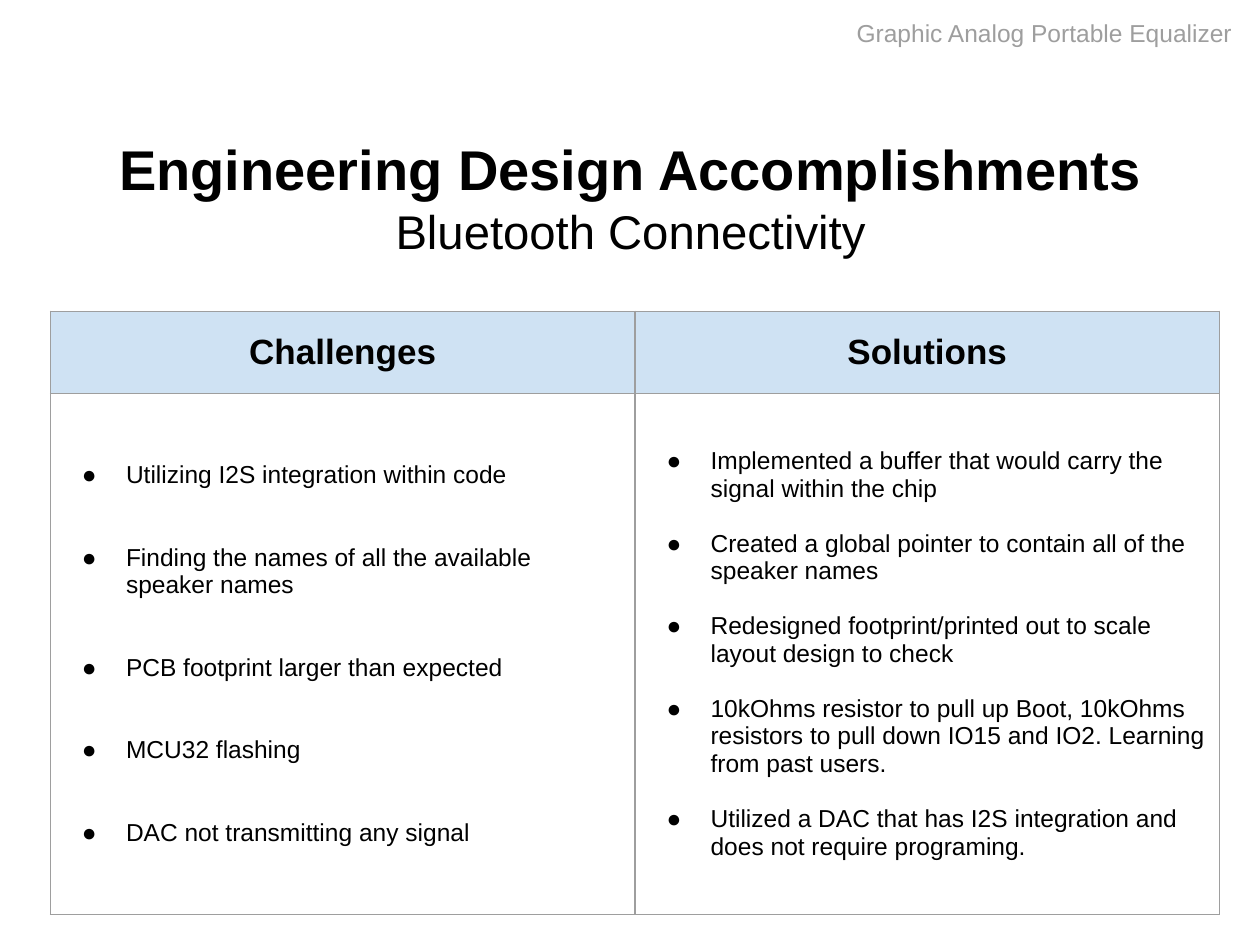
from lxml import etree
from pptx import Presentation
from pptx.dml.color import RGBColor
from pptx.enum.text import MSO_ANCHOR, MSO_AUTO_SIZE, PP_ALIGN
from pptx.oxml.ns import qn
from pptx.util import Inches, Pt

CENTER = PP_ALIGN.CENTER
MIDDLE = MSO_ANCHOR.MIDDLE
NO_AUTOFIT = MSO_AUTO_SIZE.NONE
BLACK, GRAY, HEADER_BLUE = "000000", "9E9E9E", "CFE2F3"
LINE_HEIGHT = 15.7

PROJECT = "Graphic Analog Portable Equalizer"
TITLE_LINES = [
    ("Engineering Design Accomplishments", 32, True),
    ("Bluetooth Connectivity", 27, False),
]
COLUMNS = [
    ("Challenges", 2 * LINE_HEIGHT, [
        "Utilizing I2S integration within code",
        "Finding the names of all the available speaker names",
        "PCB footprint larger than expected",
        "MCU32 flashing",
        "DAC not transmitting any signal",
    ]),
    ("Solutions", LINE_HEIGHT, [
        "Implemented a buffer that would carry the signal within the chip",
        "Created a global pointer to contain all of the speaker names",
        "Redesigned footprint/printed out to scale layout design to check",
        "10kOhms resistor to pull up Boot, 10kOhms resistors to pull down "
        "IO15 and IO2. Learning from past users.",
        "Utilized a DAC that has I2S integration and does not require programing.",
    ]),
]
COLUMN_WIDTH = 4.64
ROW_HEIGHTS = [0.65, 4.14]


def rgb(color):
    return RGBColor.from_string(color)


def add_run(paragraph, text, size, color=BLACK, bold=False):
    run = paragraph.add_run()
    run.text = text
    run.font.name = "Arial"
    run.font.size = Pt(size)
    run.font.bold = bold
    run.font.color.rgb = rgb(color)


def next_paragraph(frame, index):
    return frame.add_paragraph() if index else frame.paragraphs[0]


def set_margins(target, horizontal, vertical):
    target.margin_left = target.margin_right = Inches(horizontal)
    target.margin_top = target.margin_bottom = Inches(vertical)


def place(shape, left, top, width, height):
    shape.left, shape.top = Inches(left), Inches(top)
    shape.width, shape.height = Inches(width), Inches(height)


def add_bullet(paragraph):
    properties = paragraph._p.get_or_add_pPr()
    properties.set("marL", str(Inches(0.5)))
    properties.set("indent", str(Inches(-0.35)))
    bullet_color = etree.SubElement(properties, qn("a:buClr"))
    etree.SubElement(bullet_color, qn("a:srgbClr"), val=BLACK)
    etree.SubElement(properties, qn("a:buFont"), typeface="Arial")
    etree.SubElement(properties, qn("a:buChar"), char="●")


def format_cell(cell):
    set_margins(cell, 0.1, 0.1)
    cell.vertical_anchor = MIDDLE
    properties = cell._tc.get_or_add_tcPr()
    for side in ("lnL", "lnR", "lnT", "lnB"):
        border = etree.SubElement(properties, qn("a:" + side), w=str(Pt(0.75)))
        fill = etree.SubElement(border, qn("a:solidFill"))
        etree.SubElement(fill, qn("a:srgbClr"), val=GRAY)


def add_title(slide):
    title = slide.shapes.title
    place(title, 0.18, 1.12, 9.65, 0.88)
    frame = title.text_frame
    frame.auto_size = NO_AUTOFIT
    frame.word_wrap = True
    frame.vertical_anchor = MIDDLE
    set_margins(frame, 0.1, 0.05)
    for index, (text, size, bold) in enumerate(TITLE_LINES):
        paragraph = next_paragraph(frame, index)
        paragraph.alignment = CENTER
        add_run(paragraph, text, size, bold=bold)


def add_project_label(slide):
    label = slide.shapes.add_textbox(
        Inches(6.7), Inches(0.04), Inches(3.21), Inches(0.44))
    frame = label.text_frame
    frame.word_wrap = True
    set_margins(frame, 0.1, 0.1)
    add_run(frame.paragraphs[0], PROJECT, 14, GRAY)


def add_comparison(slide):
    table = slide.shapes.add_table(
        len(ROW_HEIGHTS), len(COLUMNS), Inches(0.4), Inches(2.47),
        Inches(COLUMN_WIDTH * len(COLUMNS)), Inches(sum(ROW_HEIGHTS))).table
    table.first_row = table.horz_banding = False
    for row, height in zip(table.rows, ROW_HEIGHTS):
        row.height = Inches(height)
    for column, (heading, gap, points) in enumerate(COLUMNS):
        table.columns[column].width = Inches(COLUMN_WIDTH)
        header, body = table.cell(0, column), table.cell(1, column)
        format_cell(header)
        header.fill.solid()
        header.fill.fore_color.rgb = rgb(HEADER_BLUE)
        heading_paragraph = header.text_frame.paragraphs[0]
        heading_paragraph.alignment = CENTER
        add_run(heading_paragraph, heading, 20, bold=True)
        format_cell(body)
        body.fill.background()
        for index, point in enumerate(points):
            paragraph = next_paragraph(body.text_frame, index)
            add_bullet(paragraph)
            if index:
                paragraph.space_before = Pt(gap)
            add_run(paragraph, point, 14)


def main():
    presentation = Presentation()
    presentation.slide_width = Inches(10)
    presentation.slide_height = Inches(7.5)
    slide = presentation.slides.add_slide(presentation.slide_layouts[5])
    add_title(slide)
    add_project_label(slide)
    add_comparison(slide)
    presentation.save("out.pptx")


if __name__ == "__main__":
    main()
